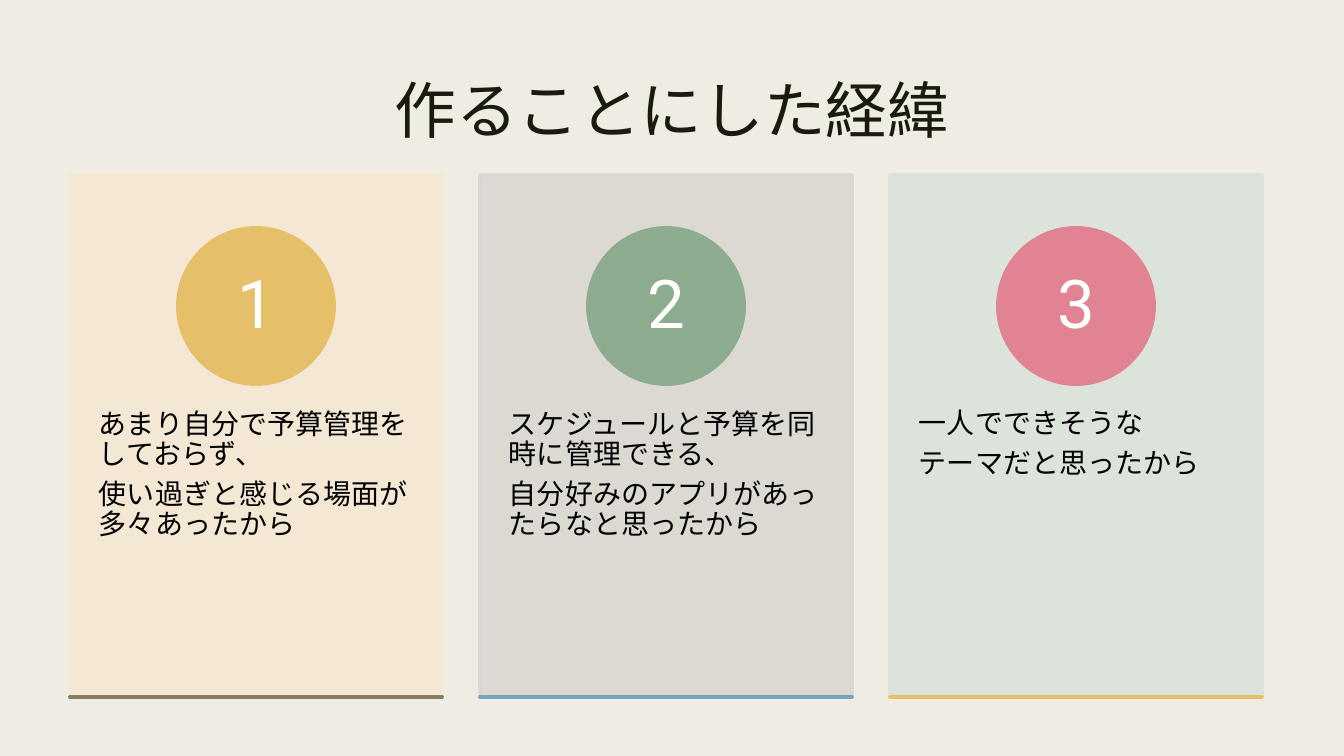
import pptx
import pptx.util
import pptx.dml.color
import pptx.enum.shapes
import pptx.enum.text
import pptx.oxml.ns
import lxml.etree

PX = 914400 / 100.8
HUES = {
    "back": "EFEDE3", "ink": "191B0E", "black": "000000", "white": "FFFFFF",
    "cream": "F5E8D4", "gray": "DAD7D2", "mint": "DBE2DB",
    "gold": "E6C069", "green": "8DAB8E", "pink": "E28394",
    "brown": "897B61", "blue": "77A2BB",
}
CARDS = [
    ("cream", "gold", "brown",
     ["あまり自分で予算管理をしておらず、", "使い過ぎと感じる場面が多々あったから"]),
    ("gray", "green", "blue",
     ["スケジュールと予算を同時に管理できる、", "自分好みのアプリがあったらなと思ったから"]),
    ("mint", "pink", "gold",
     ["一人でできそうな", "テーマだと思ったから"]),
]
LEFT, STEP, WIDE, TOP, TALL = 70, 410, 372, 175, 521
DISC, LABEL = 156, 111
KIND = pptx.enum.shapes.MSO_SHAPE
ALIGN = pptx.enum.text.PP_ALIGN
ANCHOR = pptx.enum.text.MSO_ANCHOR
qn = pptx.oxml.ns.qn

deck = pptx.Presentation()
deck.slide_width = round(1344 * PX)
deck.slide_height = round(756 * PX)
slide = deck.slides.add_slide(deck.slide_layouts[6])
slide.background.fill.solid()
slide.background.fill.fore_color.rgb = pptx.dml.color.RGBColor.from_string(HUES["back"])


def add_text(box, lines, size, hue, align, anchor, pads, space, gap):
    x, y, w, h = [round(n * PX) for n in box]
    frame = slide.shapes.add_textbox(x, y, w, h).text_frame
    frame.word_wrap = True
    frame.vertical_anchor = anchor
    frame.margin_left = frame.margin_right = round(pads[0] * PX)
    frame.margin_top = frame.margin_bottom = round(pads[1] * PX)
    for i, line in enumerate(lines):
        para = frame.paragraphs[0] if i == 0 else frame.add_paragraph()
        para.alignment = align
        para.line_spacing = space
        para.space_after = pptx.util.Pt(gap)
        run = para.add_run()
        run.text = line
        run.font.name = "Roboto"
        run.font.size = pptx.util.Pt(size)
        run.font.color.rgb = pptx.dml.color.RGBColor.from_string(HUES[hue])


def add_form(kind, box, hue, alpha):
    form = slide.shapes.add_shape(kind, *[round(n * PX) for n in box])
    form.shadow.inherit = False
    form.line.width = pptx.util.Pt(2.75)
    form.fill.solid()
    form.line.fill.solid()
    for fill in (form.fill, form.line.fill):
        fill.fore_color.rgb = pptx.dml.color.RGBColor.from_string(HUES[hue])
    if alpha < 100:
        for tint in form.element.spPr.iter(qn("a:srgbClr")):
            lxml.etree.SubElement(tint, qn("a:alpha"), val=str(alpha * 1000))


add_text((71, 76, 1202, 163), ["作ることにした経緯"], 44, "ink",
         ALIGN.CENTER, ANCHOR.TOP, (10, 5), 0.89, 0)

for i, (card, disc, rule, lines) in enumerate(CARDS):
    x = LEFT + i * STEP
    mid = x + WIDE // 2
    add_form(KIND.RECTANGLE, (x, TOP, WIDE, TALL), card, 90)
    add_text((x, 374, WIDE, 312), lines, 20, "black",
             ALIGN.LEFT, ANCHOR.TOP, (29, 36), 0.9, 7)
    add_form(KIND.OVAL, (mid - DISC // 2, 228, DISC, DISC), disc, 100)
    add_text((mid - LABEL // 2, 251, LABEL, LABEL), [str(i + 1)], 48, "white",
             ALIGN.CENTER, ANCHOR.MIDDLE, (12, 1), 0.9, 17)
    base = slide.shapes.add_connector(
        pptx.enum.shapes.MSO_CONNECTOR.STRAIGHT,
        *[round(n * PX) for n in (x, 697, x + WIDE, 697)])
    base.line.width = pptx.util.Pt(2.75)
    base.line.color.rgb = pptx.dml.color.RGBColor.from_string(HUES[rule])
    base.line.fill.solid()
    base.line.color.rgb = pptx.dml.color.RGBColor.from_string(HUES[rule])
    base.element.spPr.find(qn("a:ln")).set("cap", "rnd")
    lxml.etree.SubElement(base.element.spPr, qn("a:effectLst"))

deck.save("out.pptx")
